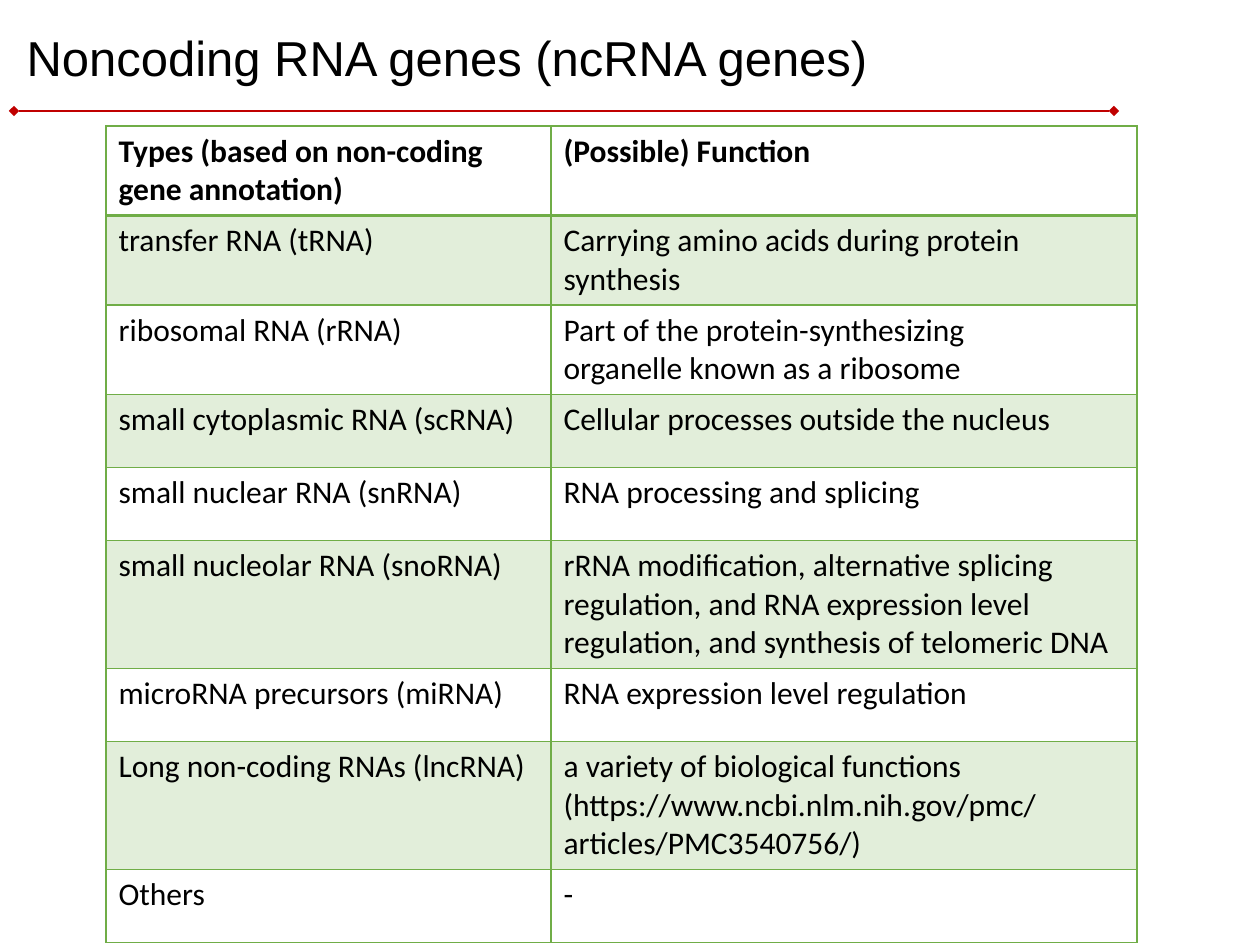
from lxml.etree import SubElement
from pptx import Presentation
from pptx.dml.color import RGBColor
from pptx.enum.shapes import MSO_CONNECTOR
from pptx.enum.text import MSO_ANCHOR, MSO_AUTO_SIZE, PP_ALIGN
from pptx.oxml.ns import qn
from pptx.util import Emu, Pt

PX = 914400 // 126
THEME = {
    "text": RGBColor(0x00, 0x00, 0x00),
    "rule": RGBColor(0xC0, 0x00, 0x00),
    "green": RGBColor(0x70, 0xAD, 0x47),
    "band_alpha": 20000,
    "title_font": "Arial", "title_size": Pt(28),
    "body_font": "Calibri", "body_size": Pt(18),
}
NBSP = chr(160)

# A tilde marks a no-break space
ROWS = [
    (86, "Types (based on non-coding gene annotation)", "(Possible) Function"),
    (86, "transfer RNA (tRNA)", "Carrying amino acids during protein synthesis"),
    (86, "ribosomal RNA (rRNA)",
     "Part~of~the~protein-synthesizing organelle~known~as~a~ribosome"),
    (73, "small cytoplasmic RNA (scRNA)", "Cellular~processes~outside~the nucleus"),
    (73, "small nuclear RNA (snRNA)", "RNA~processing~and~splicing"),
    (122, "small nucleolar RNA (snoRNA)",
     "rRNA modification, alternative splicing regulation, and RNA expression "
     "level regulation, and synthesis of telomeric DNA"),
    (73, "microRNA precursors (miRNA)", "RNA expression level regulation"),
    (122, "Long non-coding RNAs (lncRNA)",
     "a variety of biological functions\n"
     "(https://www.ncbi.nlm.nih.gov/pmc/articles/PMC3540756/)"),
    (73, "Others", "-"),
]
COLS = [445, 586]


def px(*values):
    return [Emu(v * PX) for v in values]


def add_border(cell, side, width):
    ln = SubElement(cell._tc.get_or_add_tcPr(), qn(f"a:ln{side}"), w=str(Pt(width)))
    fill = SubElement(ln, qn("a:solidFill"))
    SubElement(fill, qn("a:srgbClr"), val=str(THEME["green"]))


prs = Presentation()
prs.slide_width, prs.slide_height = Emu(9144000), Emu(6858000)
s = prs.slides.add_slide(prs.slide_layouts[5])

# Title
title = s.shapes.title
title.left, title.top, title.width, title.height = px(14, 8, 1143, 106)
tf = title.text_frame
tf.text = "Noncoding RNA genes (ncRNA genes)"
tf.word_wrap = True
tf.auto_size = MSO_AUTO_SIZE.NONE
tf.vertical_anchor = MSO_ANCHOR.MIDDLE
p = tf.paragraphs[0]
p.alignment = PP_ALIGN.LEFT
p.line_spacing = 0.9
font = p.runs[0].font
font.name, font.size = THEME["title_font"], THEME["title_size"]
font.color.rgb = THEME["text"]

# Rule below the title
rule = s.shapes.add_connector(MSO_CONNECTOR.STRAIGHT, *px(14, 111, 1114, 111))
rule.line.color.rgb = THEME["rule"]
rule.line.width = Pt(1)
for end in ("a:headEnd", "a:tailEnd"):
    SubElement(rule.line._get_or_add_ln(), qn(end), type="diamond")
SubElement(rule._element.spPr, qn("a:effectLst"))

# Table of RNA types
height = sum(row[0] for row in ROWS)
table = s.shapes.add_table(len(ROWS), len(COLS),
                           *px(106, 126, sum(COLS), height)).table
table.horz_banding = False
for column, width in zip(table.columns, COLS):
    column.width = Emu(width * PX)

for i, (row_height, *texts) in enumerate(ROWS):
    table.rows[i].height = Emu(row_height * PX)
    for cell, text in zip(table.rows[i].cells, texts):
        cell.text_frame.text = text.replace("~", NBSP)
        for p in cell.text_frame.paragraphs:
            font = p.runs[0].font
            font.name, font.size = THEME["body_font"], THEME["body_size"]
            font.bold = i == 0
            font.color.rgb = THEME["text"]

        # Thin grid, with a thicker edge under the header
        add_border(cell, "L", 1)
        add_border(cell, "R", 1)
        add_border(cell, "T", 2 if i == 1 else 1)
        add_border(cell, "B", 2 if i == 0 else 1)

        # Every other row is tinted
        if i % 2:
            cell.fill.solid()
            cell.fill.fore_color.rgb = THEME["green"]
            color = cell._tc.tcPr.find(qn("a:solidFill")).find(qn("a:srgbClr"))
            SubElement(color, qn("a:alpha"), val=str(THEME["band_alpha"]))
        else:
            cell.fill.background()

prs.save("out.pptx")
